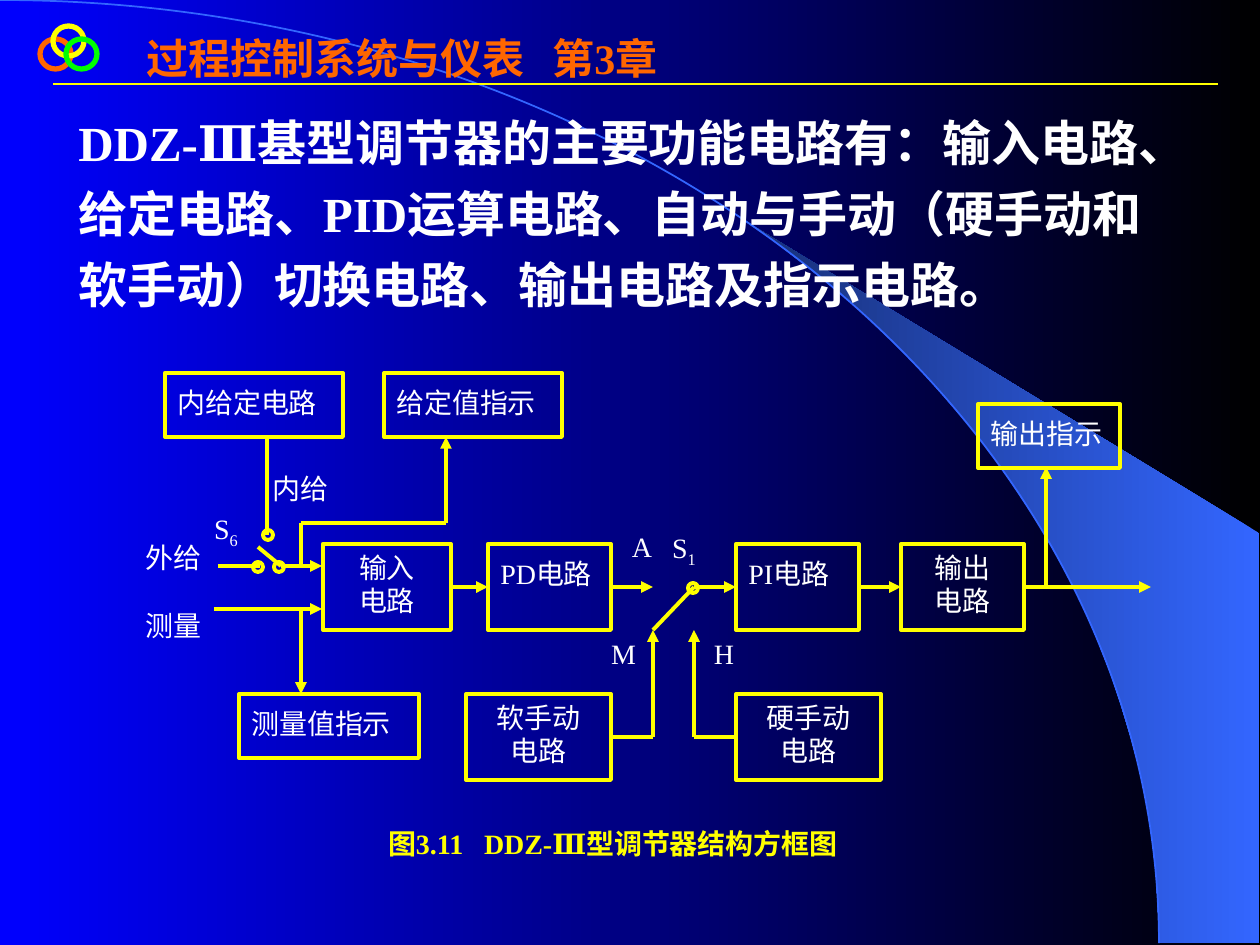
import math

from lxml import etree
from pptx import Presentation
from pptx.dml.color import RGBColor
from pptx.enum.shapes import MSO_CONNECTOR, MSO_SHAPE
from pptx.enum.text import MSO_ANCHOR, PP_ALIGN
from pptx.oxml.ns import qn
from pptx.util import Pt

STRAIGHT = MSO_CONNECTOR.STRAIGHT
RECTANGLE, OVAL, ARC = MSO_SHAPE.RECTANGLE, MSO_SHAPE.OVAL, MSO_SHAPE.ARC
NODE = MSO_SHAPE.FLOWCHART_CONNECTOR
TOP, LEFT, CENTER = MSO_ANCHOR.TOP, PP_ALIGN.LEFT, PP_ALIGN.CENTER

EMU_PER_PX = 914400 / 126
WIDTH, HEIGHT = 1260, 945
YELLOW, WHITE, ORANGE, GREEN = "FFFF00", "FFFFFF", "FF6600", "00FF00"
BLUE, NAVY, DEEP_BLUE, BLACK = "3366FF", "172F75", "0000FF", "000000"
SITE_LEFT, SITE_RIGHT = 1, 3


def px(value):
    return round(value * EMU_PER_PX)


def rgb(value):
    return RGBColor.from_string(value)


def shade(fill, right, left):
    """Horizontal gradient that starts at the right edge."""
    fill.gradient()
    fill.gradient_angle = 180
    for stop, color, position in zip(fill.gradient_stops, (right, left), (0, 1)):
        stop.color.rgb = rgb(color)
        stop.position = position


class Board:
    font = "Times New Roman"
    stroke = 2.25
    size = 16

    def __init__(self, slide):
        self.slide = slide
        self.shapes = slide.shapes

    def set_lines(self, frame, lines, size=None, color=WHITE, bold=False,
                  align=LEFT, spacing=1.2, tab=None):
        """Each line is a string, or a (base, subscript) pair."""
        frame.word_wrap = True
        frame.vertical_anchor = TOP
        for index, line in enumerate(lines):
            paragraph = frame.add_paragraph() if index else frame.paragraphs[0]
            paragraph.alignment = align
            paragraph.line_spacing = spacing
            if tab:
                stops = etree.SubElement(paragraph._p.get_or_add_pPr(), qn("a:tabLst"))
                etree.SubElement(stops, qn("a:tab"), pos=str(px(tab)), algn="l")
            pieces = (line,) if isinstance(line, str) else line
            for level, piece in enumerate(pieces):
                run = paragraph.add_run()
                run.text = piece
                run.font.name = self.font
                run.font.size = Pt(size or self.size)
                run.font.bold = bold
                run.font.color.rgb = rgb(color)
                if level:
                    run.font._element.set("baseline", "-25000")

    def outline(self, kind, x, y, w, h, color=YELLOW, width=None):
        shape = self.shapes.add_shape(kind, px(x), px(y), px(w), px(h))
        shape.shadow.inherit = False
        shape.fill.background()
        shape.line.color.rgb = rgb(color)
        shape.line.width = Pt(width or self.stroke)
        return shape

    def block(self, x, y, w, h, *lines):
        """Framed block; two lines are centred, one is set left."""
        shape = self.outline(RECTANGLE, x, y, w, h)
        stacked = len(lines) > 1
        self.set_lines(shape.text_frame, lines, align=CENTER if stacked else LEFT,
                       spacing=1.0 if stacked else 1.2)
        return shape

    def text(self, x, y, w, h, line, inset=False, **style):
        frame = self.shapes.add_textbox(px(x), px(y), px(w), px(h)).text_frame
        if not inset:
            frame.margin_left = frame.margin_right = 0
            frame.margin_top = frame.margin_bottom = 0
        self.set_lines(frame, [line], **style)

    def wire(self, start, end, arrow=False, source=None, target=None, width=None):
        """Straight line, joined to the right of source and the left of target."""
        line = self.shapes.add_connector(STRAIGHT, *map(px, (*start, *end)))
        line.line.color.rgb = rgb(YELLOW)
        line.line.width = Pt(width or self.stroke)
        if arrow:
            etree.SubElement(line.line._get_or_add_ln(), qn("a:tailEnd"), type="triangle")
        etree.SubElement(line._element.spPr, qn("a:effectLst"))
        if source is not None:
            line.begin_connect(source, SITE_RIGHT)
        if target is not None:
            line.end_connect(target, SITE_LEFT)

    def crescent(self, points):
        builder = self.shapes.build_freeform(*points[0], scale=EMU_PER_PX)
        builder.add_line_segments(points[1:], close=True)
        shape = builder.convert_to_shape()
        shape.shadow.inherit = False
        shape.line.fill.background()
        shade(shape.fill, BLUE, NAVY)


def draw_backdrop(board):
    shade(board.slide.background.fill, BLACK, DEEP_BLUE)
    radius_x, radius_y = 1159, 943
    first = math.asin(742 / radius_x)
    steps = 24
    angles = [first + (math.pi / 2 - first) * i / steps for i in range(steps + 1)]
    edge = [(round(radius_x * math.sin(a)), round(radius_y * (1 - math.cos(a))))
            for a in angles]
    board.crescent(edge + [(1259, 943), (1259, 533)])
    board.outline(ARC, -radius_x, 0, 2 * radius_x, 2 * radius_y, BLUE, 1)


def draw_header(board):
    board.wire((53, 84), (1218, 84), width=1.5)
    board.text(134, 26, 566, 113, "过程控制系统与仪表\t第3章", inset=True,
               size=24, color=ORANGE, bold=True, spacing=1.0, tab=406)
    for x, y, color in ((40, 39, ORANGE), (53, 26, YELLOW), (66, 39, GREEN)):
        board.outline(OVAL, x, y, 31, 30, color, 3)
    board.text(66, 95, 1123, 295,
               "DDZ-Ⅲ基型调节器的主要功能电路有：输入电路、给定电路、PID运算电路、"
               "自动与手动（硬手动和软手动）切换电路、输出电路及指示电路。",
               inset=True, size=28, bold=True)


def draw_diagram(board):
    main_y, lower_y, axis, lower_axis = 544, 694, 587, 737
    tall, low = 86, 64
    input_block = board.block(323, main_y, 128, tall, "输入", "电路")
    pd_block = board.block(488, main_y, 123, tall, "PD电路")
    pi_block = board.block(736, main_y, 123, tall, "PI电路")
    output_block = board.block(901, main_y, 123, tall, "输出", "电路")
    soft_manual = board.block(466, lower_y, 145, tall, "软手动", "电路")
    hard_manual = board.block(736, lower_y, 145, tall, "硬手动", "电路")
    board.block(165, 373, 178, low, "内给定电路")
    board.block(384, 373, 178, low, "给定值指示")
    board.block(978, 404, 142, low, "输出指示")
    board.block(239, lower_y, 180, low, "测量值指示")

    # Main signal path
    board.wire((451, axis), (488, axis), True, input_block, pd_block)
    board.wire((611, axis), (653, axis), True, pd_block)
    board.wire((694, axis), (736, axis), True, target=pi_block)
    board.wire((859, axis), (901, axis), True, pi_block, output_block)
    board.wire((1024, axis), (1151, axis), True, output_block)
    board.wire((1046, axis), (1046, 467), True)

    # Manual branches and switch S1
    board.wire((611, lower_axis), (653, lower_axis), source=soft_manual)
    board.wire((694, lower_axis), (736, lower_axis), target=hard_manual)
    for x in (653, 694):
        board.wire((x, lower_axis), (x, 630), True)
    board.wire((694, axis), (653, 630))

    # Setpoint and measurement inputs with switch S6
    board.wire((214, 609), (322, 609), True)
    board.wire((301, 609), (301, lower_y), True)
    board.wire((218, 566), (260, 566))
    board.wire((281, 566), (322, 566), True)
    board.wire((281, 566), (258, 547))
    board.wire((267, 437), (267, 535))
    board.wire((301, 566), (301, 523))
    board.wire((301, 523), (446, 523))
    board.wire((446, 523), (446, 437), True)
    for x, y in ((268, 535), (258, 567), (279, 567), (693, 588)):
        board.outline(NODE, x - 5, y - 5, 10, 10)

    for x, y, w, label in (
        (146, 602, 68, "测量"), (146, 534, 62, "外给"), (273, 465, 62, "内给"),
        (214, 504, 43, ("S", "6")), (672, 523, 42, ("S", "1")),
        (632, 523, 20, "A"), (611, 630, 20, "M"), (714, 630, 20, "H"),
    ):
        board.text(x, y, w, 43, label)
    board.text(388, 820, 538, 43, "图3.11\tDDZ-Ⅲ型调节器结构方框图",
               color=YELLOW, bold=True, tab=96)


def main():
    deck = Presentation()
    deck.slide_width, deck.slide_height = px(WIDTH), px(HEIGHT)
    board = Board(deck.slides.add_slide(deck.slide_layouts[6]))
    draw_backdrop(board)
    draw_header(board)
    draw_diagram(board)
    deck.save("out.pptx")


if __name__ == "__main__":
    main()
